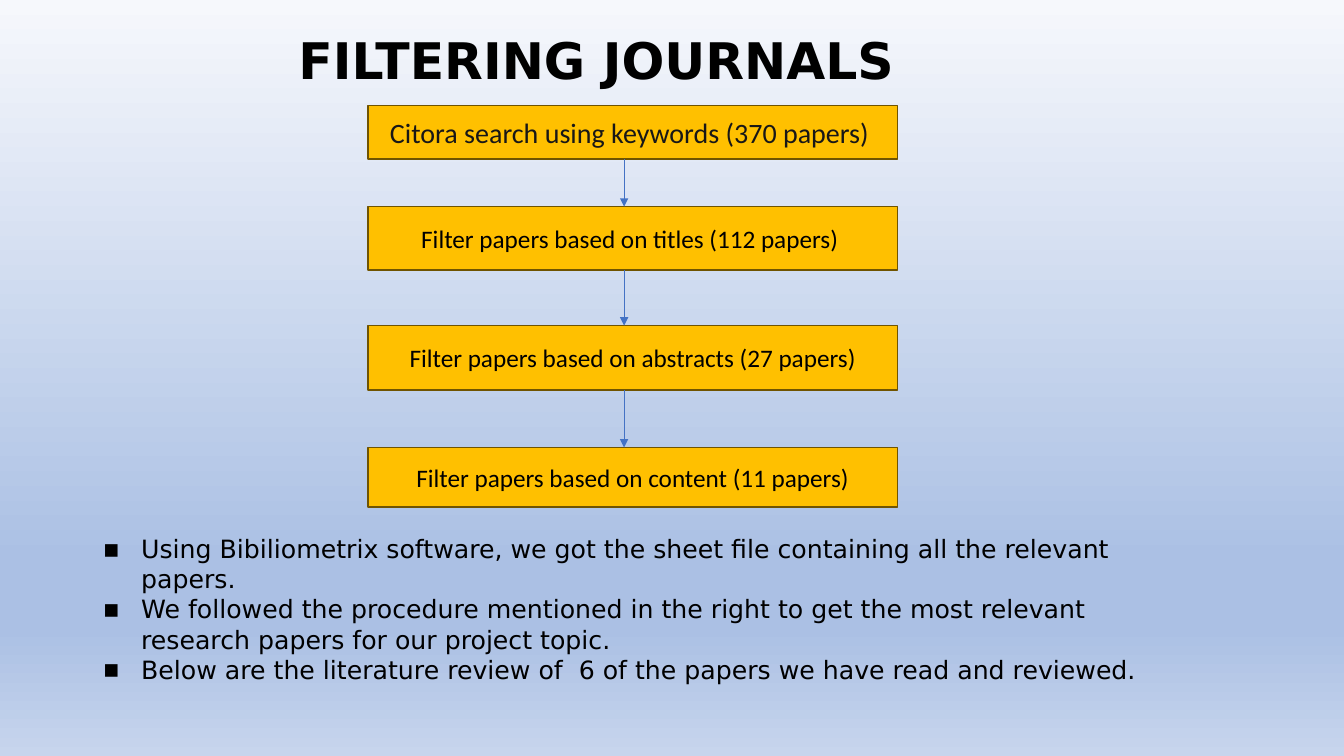
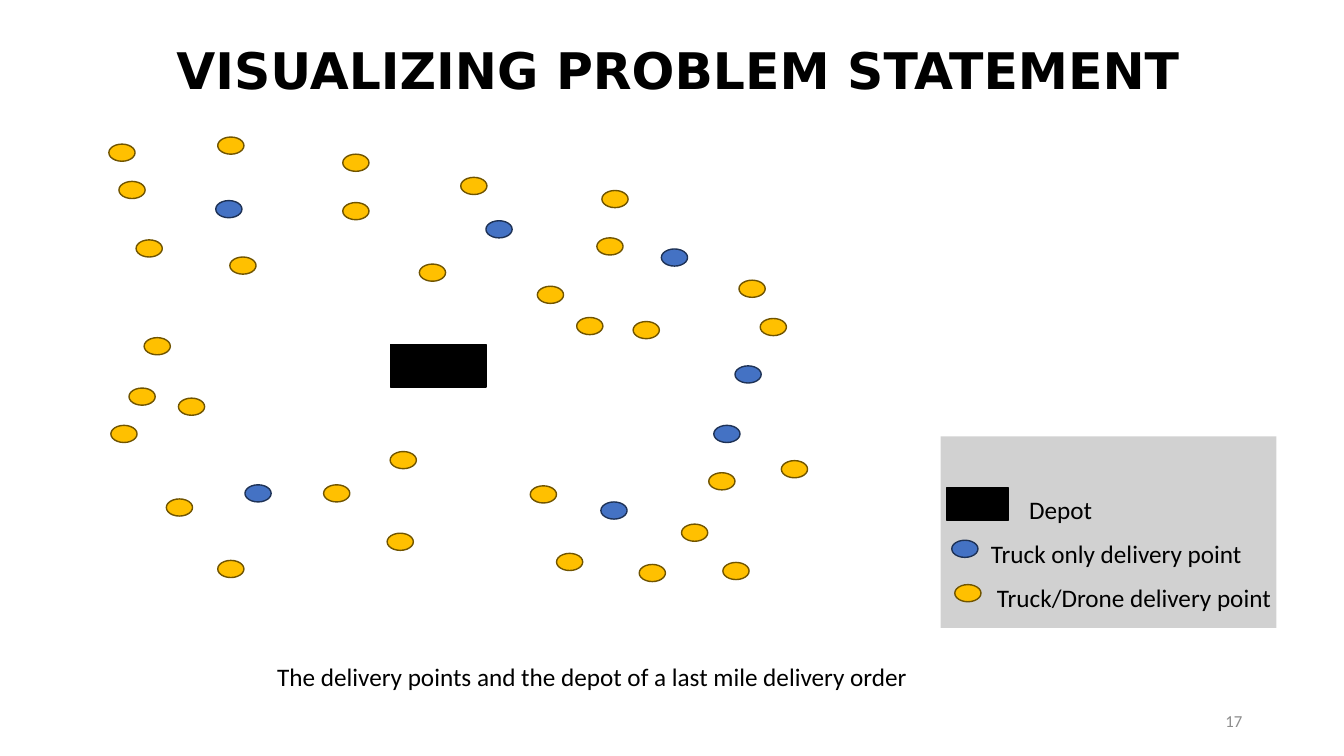
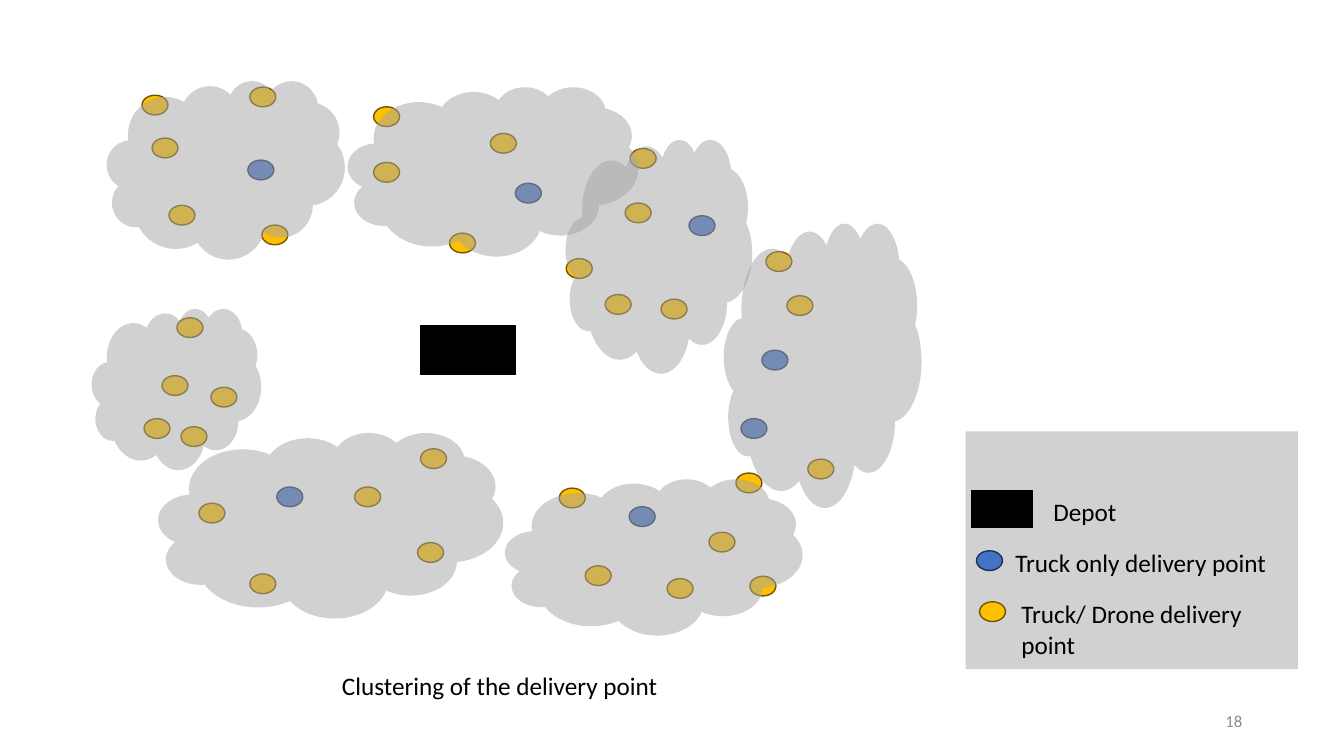
from lxml.etree import SubElement
from pptx import Presentation
from pptx.dml.color import RGBColor
from pptx.enum.shapes import MSO_CONNECTOR, MSO_SHAPE
from pptx.enum.text import MSO_ANCHOR, MSO_AUTO_SIZE, PP_ALIGN
from pptx.oxml.ns import qn
from pptx.util import Inches, Pt

COLORS = {
    "black": "000000", "ink": "181717", "page_number": "8C8C8C",
    "gold": "FFC000", "gold_line": "705400",
    "blue": "4472C4", "blue_line": "1E3256", "gray": "A5A5A5",
}
GRADIENT = [(0, "F6F8FC"), (74, "ABC0E4"), (83, "ABC0E4"), (100, "C7D5ED")]
BODY_FONT, HEAD_FONT = "Calibri", "DejaVu Sans"

FILTER_STEPS = [
    ("Citora search using keywords (370 papers) ", 1.05, 0.53, 20, "ink"),
    ("Filter papers based on titles (112 papers) ", 2.05, 0.63, 18, "black"),
    ("Filter papers based on abstracts (27 papers)", 3.23, 0.64, 18, "black"),
    ("Filter papers based on content (11 papers)", 4.44, 0.59, 18, "black"),
]
STEP_LEFT, STEP_WIDTH, ARROW_X = 3.65, 5.25, 6.19
NOTES = [
    "Using Bibiliometrix software, we got the sheet file containing all the relevant papers.",
    "We followed the procedure mentioned in the right to get the most relevant research papers for our project topic.",
    "Below are the literature review of  6 of the papers we have read and reviewed.",
]

DRONE_POINTS = [
    (1.65, 4.95), (1.77, 3.95), (3.84, 5.29), (3.21, 4.81), (1.08, 1.43), (3.4, 1.53),
    (2.16, 1.36), (4.57, 1.76), (7.54, 3.16), (5.92, 2.36), (3.4, 2.01), (4.16, 2.62),
    (5.33, 2.84), (2.28, 2.55), (5.26, 4.82), (1.1, 4.22), (3.87, 4.48), (7.75, 4.57),
    (2.16, 5.56), (1.18, 1.8), (1.35, 2.38), (1.28, 3.85), (6.28, 3.19), (5.97, 1.89),
    (7.33, 2.78), (5.72, 3.15), (1.43, 3.35), (6.76, 5.2), (7.17, 5.58), (5.52, 5.49),
    (6.34, 5.6), (7.03, 4.69),
]
TRUCK_POINTS = [
    (7.08, 4.22), (2.14, 1.99), (4.82, 2.19), (5.96, 4.98), (2.43, 4.81), (6.56, 2.47),
    (7.29, 3.63),
]
POINT_SIZE = (0.26, 0.17)
CLUSTERS = [
    (1.06, 0.8, 2.36, 1.77), (3.45, 0.86, 2.88, 1.68), (5.61, 1.38, 1.85, 2.32),
    (1.57, 4.29, 3.42, 1.84), (7.18, 2.21, 1.96, 2.82), (5.01, 4.75, 2.95, 1.55),
    (0.91, 3.06, 1.68, 1.6),
]
POINT_MAP = {"scale": (1, 1), "shift": (0, 0), "panel_height": 1.9,
             "drone_label": "Truck/Drone delivery point", "label_width": 2.93}
CLUSTER_MAP = {"scale": (0.99, 1.15), "shift": (0.34, -0.7), "panel_height": 2.36,
               "drone_label": "Truck/ Drone delivery point", "label_width": 2.68}


def rgb(name):
    return RGBColor.from_string(COLORS[name])


def style(para, size=18, font=BODY_FONT, color="black", bold=False):
    para.font.size, para.font.name, para.font.bold = Pt(size), font, bold
    para.font.color.rgb = rgb(color)


def add_shape(page, kind, at, fill, line=None, alpha=None):
    shape = page.shapes.add_shape(kind, *map(Inches, at))
    shape.shadow.inherit = False
    shape.fill.solid()
    shape.fill.fore_color.rgb = rgb(fill)
    if line:
        shape.line.color.rgb = rgb(line)
        shape.line.width = Pt(1)
    else:
        shape.line.fill.background()
    if alpha:
        color = shape.element.xpath("./p:spPr/a:solidFill/a:srgbClr")[0]
        SubElement(color, qn("a:alpha"), val=str(alpha * 1000))
    return shape


def add_text(page, text, at, align=PP_ALIGN.LEFT, anchor=MSO_ANCHOR.TOP, **font):
    frame = page.shapes.add_textbox(*map(Inches, at)).text_frame
    frame.word_wrap = True
    frame.vertical_anchor = anchor
    frame.text = text
    para = frame.paragraphs[0]
    para.alignment = align
    style(para, **font)


def fill_placeholder(holder, at, lines, **font):
    holder.left, holder.top, holder.width, holder.height = map(Inches, at)
    frame = holder.text_frame
    frame.text = "\n".join(lines)
    frame.word_wrap = True
    frame.auto_size = MSO_AUTO_SIZE.NONE
    frame.vertical_anchor = MSO_ANCHOR.TOP
    for para in frame.paragraphs:
        para.alignment = PP_ALIGN.LEFT
        para.space_before = Pt(0)
        style(para, font=HEAD_FONT, **font)
    return frame.paragraphs


def set_title(page, text, at):
    fill_placeholder(page.shapes.title, at, [text], size=36, bold=True)


def add_bullet(para):
    props = para._p.get_or_add_pPr()
    props.set("marL", str(Inches(0.38)))
    props.set("indent", str(Inches(-0.38)))
    SubElement(props, qn("a:buFont"), typeface=HEAD_FONT)
    SubElement(props, qn("a:buChar"), char="▪")


def add_page_number(page, number):
    add_text(page, str(number), (9.42, 6.95, 3, 0.4), PP_ALIGN.RIGHT, MSO_ANCHOR.MIDDLE,
             size=12, color="page_number")


def add_arrow(page, top, bottom):
    arrow = page.shapes.add_connector(
        MSO_CONNECTOR.STRAIGHT, Inches(ARROW_X), Inches(top), Inches(ARROW_X), Inches(bottom))
    arrow.line.color.rgb = rgb("blue")
    arrow.line.width = Pt(0.5)
    SubElement(arrow.line._get_or_add_ln(), qn("a:tailEnd"), type="triangle")
    SubElement(arrow.element.spPr, qn("a:effectLst"))


def set_gradient(page):
    fill = page.background.fill
    fill.gradient()
    fill.gradient_angle = 270
    stops = page.element.xpath(".//p:bg//a:gsLst")[0]
    for stop in list(stops):
        stops.remove(stop)
    for position, color in GRADIENT:
        stop = SubElement(stops, qn("a:gs"), pos=str(position * 1000))
        SubElement(stop, qn("a:srgbClr"), val=color)


def draw_map(page, layout, extra_points=()):
    (scale_x, scale_y), (shift_x, shift_y) = layout["scale"], layout["shift"]

    def place(left, top, width, height):
        return (left * scale_x + shift_x, top * scale_y + shift_y,
                width * scale_x, height * scale_y)

    def add_points(points, color):
        for point in points:
            add_shape(page, MSO_SHAPE.OVAL, place(*point, *POINT_SIZE), color, color + "_line")

    def add_depot(*at):
        add_shape(page, MSO_SHAPE.RECTANGLE, place(*at), "black", "black")

    add_depot(3.87, 3.42, 0.95, 0.42)
    add_points([*DRONE_POINTS, *extra_points], "gold")
    add_points(TRUCK_POINTS, "blue")

    left, top, width, _ = place(9.33, 4.33, 3.33, 0)
    add_shape(page, MSO_SHAPE.RECTANGLE, (left, top, width, layout["panel_height"]), "gray", alpha=50)
    add_depot(9.39, 4.84, 0.61, 0.32)
    add_points([(9.44, 5.36)], "blue")
    add_points([(9.47, 5.8)], "gold")
    labels = [
        ("Depot", 10.11, 4.85, 1.53, 0.29),
        ("Truck only delivery point", 9.73, 5.29, 2.93, 0.5),
        (layout["drone_label"], 9.79, 5.73, layout["label_width"] / scale_x, 0.64),
    ]
    for text, *at in labels:
        add_text(page, text, place(*at))


def build_filtering(deck):
    page = deck.slides.add_slide(deck.slide_layouts[1])
    set_gradient(page)
    set_title(page, "FILTERING JOURNALS", (2.86, 0.24, 8.57, 0.71))
    for text, top, height, size, color in FILTER_STEPS:
        box = add_shape(page, MSO_SHAPE.RECTANGLE, (STEP_LEFT, top, STEP_WIDTH, height),
                        "gold", "gold_line")
        box.text_frame.text = text
        box.text_frame.vertical_anchor = MSO_ANCHOR.MIDDLE
        para = box.text_frame.paragraphs[0]
        para.alignment = PP_ALIGN.CENTER
        style(para, size=size, color=color)
    for step, following in zip(FILTER_STEPS, FILTER_STEPS[1:]):
        add_arrow(page, step[1] + step[2], following[1])
    for para in fill_placeholder(page.placeholders[1], (0.92, 5.24, 10.71, 1.62), NOTES):
        add_bullet(para)


def build_problem(deck):
    page = deck.slides.add_slide(deck.slide_layouts[5])
    set_title(page, "VISUALIZING PROBLEM STATEMENT", (1.65, 0.34, 10.43, 0.71))
    draw_map(page, POINT_MAP)
    add_text(page, "The delivery points and the depot of a last mile delivery order",
             (2.65, 6.51, 7.68, 0.4))
    add_page_number(page, 17)


def build_clusters(deck):
    page = deck.slides.add_slide(deck.slide_layouts[6])
    draw_map(page, CLUSTER_MAP, extra_points=[(1.47, 4.29)])
    for at in CLUSTERS:
        add_shape(page, MSO_SHAPE.CLOUD, at, "gray", alpha=50)
    add_text(page, "Clustering of the delivery point ", (0.87, 6.6, 8.23, 0.4), PP_ALIGN.CENTER)
    add_page_number(page, 18)


def main():
    deck = Presentation()
    deck.slide_width, deck.slide_height = Inches(13.33), Inches(7.5)
    build_filtering(deck)
    build_problem(deck)
    build_clusters(deck)
    deck.save("out.pptx")


if __name__ == "__main__":
    main()
